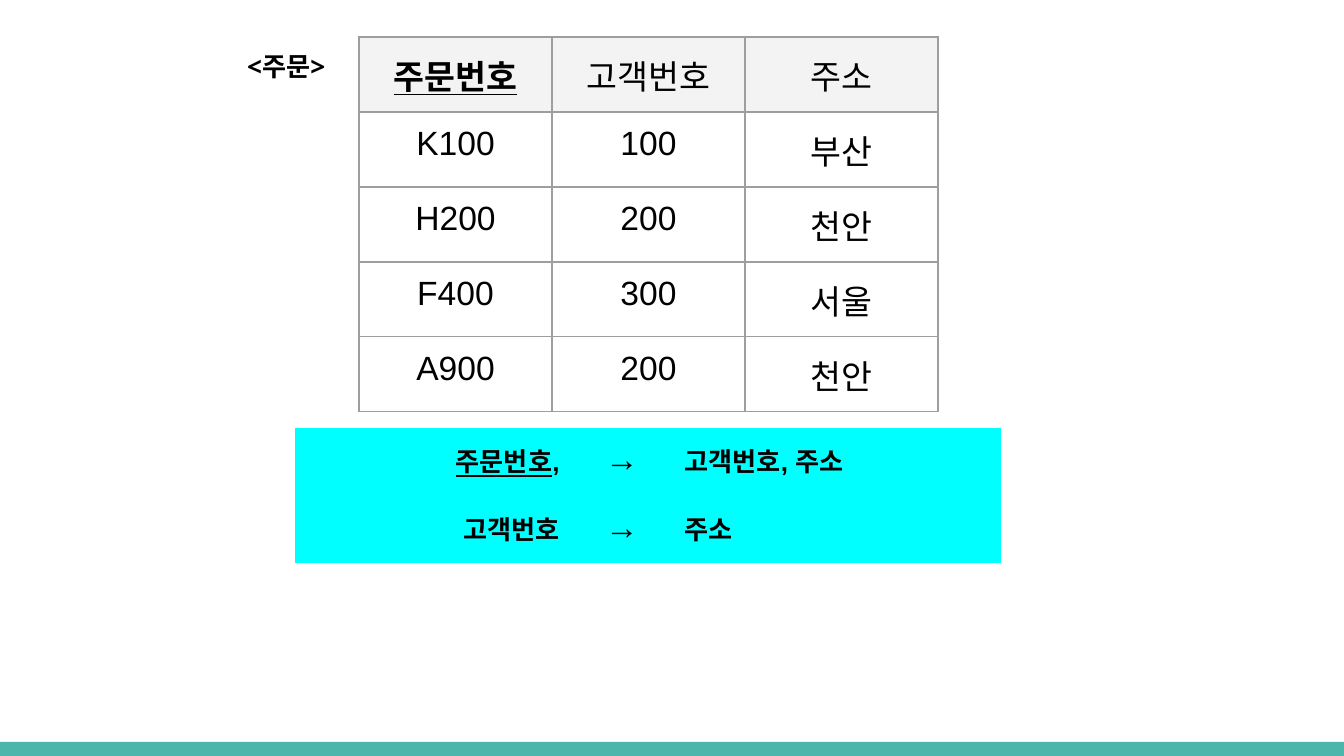
from lxml import etree
from pptx import Presentation
from pptx import util as u
from pptx.dml.color import RGBColor
from pptx.enum import shapes, text
from pptx.oxml.ns import qn

COLORS = {"ink": "000000", "bar": "4DB6AC", "header": "F3F3F3",
          "paper": "FFFFFF", "highlight": "00FFFF", "grid": "9E9E9E"}
LEFT, CENTER, RIGHT = text.PP_ALIGN.LEFT, text.PP_ALIGN.CENTER, text.PP_ALIGN.RIGHT

ORDERS = [
    ("주문번호", "고객번호", "주소"),
    ("K100", "100", "부산"),
    ("H200", "200", "천안"),
    ("F400", "300", "서울"),
    ("A900", "200", "천안"),
]
# Each dependency: underlined key, rest of the left side, right side
DEPENDENCIES = [
    ("주문번호", ",", "고객번호, 주소"),
    ("", "고객번호", "주소"),
]


def px(count):
    return u.Emu(round(count * 914400 / 134.4))


def color(name):
    return RGBColor.from_string(COLORS[name])


def write(frame, content, size=18, font="Arial", bold=False, underline=False, align=CENTER):
    """Append one run to the frame's paragraph."""
    para = frame.paragraphs[0]
    para.alignment = align
    span = para.add_run()
    span.text = content
    span.font.size = u.Pt(size)
    span.font.name = font
    span.font.bold = bold
    span.font.underline = underline
    span.font.color.rgb = color("ink")


def set_borders(cell, line):
    """Draw all four cell edges in the named colour, or hide them if None."""
    props = cell._tc.get_or_add_tcPr()
    for index, side in enumerate(("lnL", "lnR", "lnT", "lnB")):
        edge = etree.Element(qn("a:" + side), w=str(u.Pt(0.75)))
        if line:
            fill = etree.SubElement(edge, qn("a:solidFill"))
            etree.SubElement(fill, qn("a:srgbClr"), val=COLORS[line])
        else:
            etree.SubElement(edge, qn("a:noFill"))
        props.insert(index, edge)


def add_grid(page, left, top, widths, row_height, row_count):
    frame = page.shapes.add_table(row_count, len(widths), px(left), px(top),
                                  px(sum(widths)), px(row_height * row_count))
    for column, width in zip(frame.table.columns, widths):
        column.width = px(width)
    for row in frame.table.rows:
        row.height = px(row_height)
    return frame.table


def style_cell(cell, fill, line=None):
    cell.fill.solid()
    cell.fill.fore_color.rgb = color(fill)
    cell.margin_left = cell.margin_right = cell.margin_top = cell.margin_bottom = u.Inches(0.1)
    set_borders(cell, line)


deck = Presentation()
deck.slide_width, deck.slide_height = px(1344), px(756)
page = deck.slides.add_slide(deck.slide_layouts[6])

bar = page.shapes.add_shape(shapes.MSO_SHAPE.RECTANGLE, 0, px(742), px(1344), px(14))
bar.shadow.inherit = False
bar.fill.solid()
bar.fill.fore_color.rgb = color("bar")
bar.line.fill.background()

label = page.shapes.add_textbox(px(234), px(37), px(214), px(40)).text_frame
label.word_wrap = True
label.margin_left = label.margin_right = label.margin_top = label.margin_bottom = u.Inches(0.1)
write(label, "<주문>", size=14, font="Open Sans", bold=True, align=LEFT)

rules = add_grid(page, 295, 428, (278, 98, 330), 65, len(DEPENDENCIES))
for r, (key, rest, target) in enumerate(DEPENDENCIES):
    source_cell, arrow_cell, target_cell = cells = [rules.cell(r, c) for c in range(3)]
    for cell in cells:
        style_cell(cell, "highlight")
    if key:
        write(source_cell.text_frame, key, size=14, bold=True, underline=True, align=RIGHT)
    write(source_cell.text_frame, rest, size=14, bold=True, align=RIGHT)
    write(arrow_cell.text_frame, "→", bold=True)
    write(target_cell.text_frame, target, size=14, bold=True, align=LEFT)

orders = add_grid(page, 359, 37, (193, 193, 193), 75, len(ORDERS))
for r, row in enumerate(ORDERS):
    for c, value in enumerate(row):
        cell = orders.cell(r, c)
        is_key = r == 0 and c == 0
        style_cell(cell, "paper" if r else "header", line="grid")
        write(cell.text_frame, value, bold=is_key, underline=is_key)

deck.save("out.pptx")
